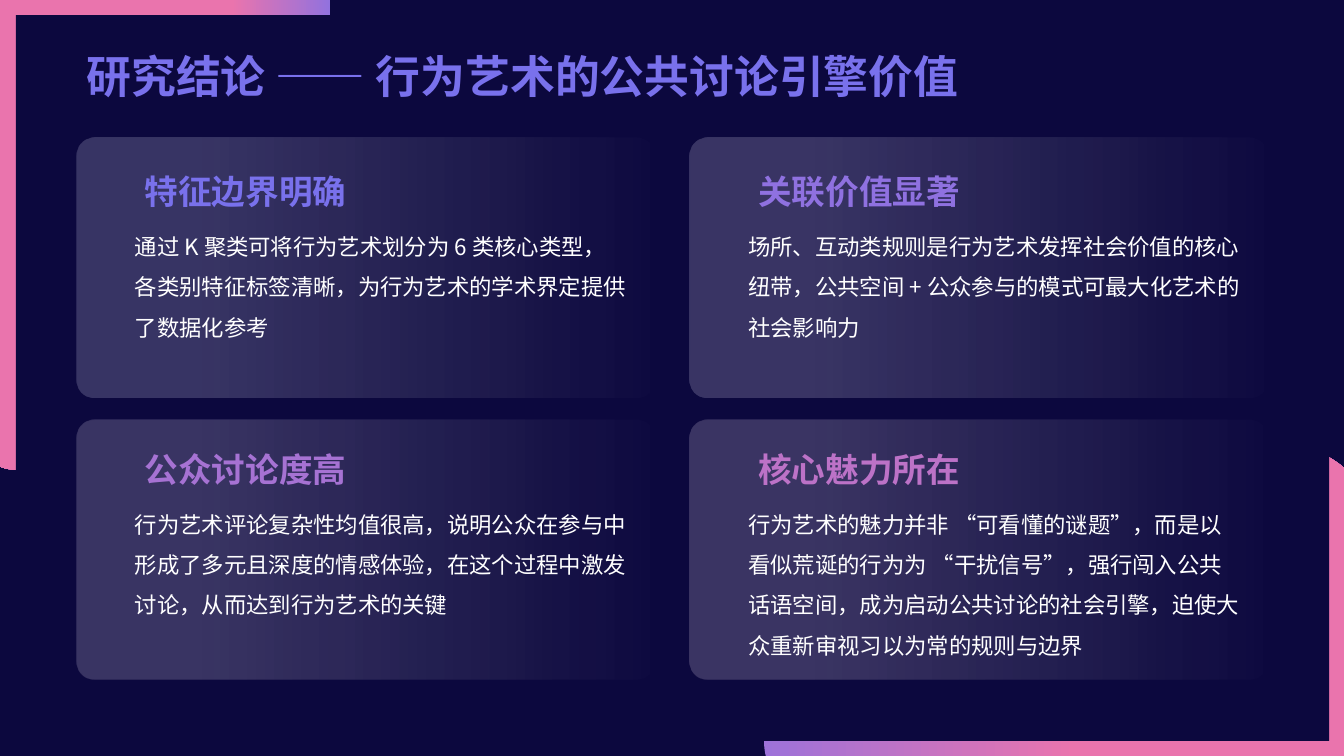
import dataclasses
import typing

import pptx
import pptx.dml.color
import pptx.enum.shapes
import pptx.enum.text
import pptx.oxml
import pptx.oxml.ns
import pptx.util

Cm = pptx.util.Cm
Point = tuple[float, float]
FONT = "Noto Sans CJK SC"
NAVY = "0C083E"
VIOLET = "7971EC"
PINK = "EA74AD"
WHITE = "FFFFFF"
PAGE_WIDTH, PAGE_HEIGHT = 33.87, 19.05
CARD_LEFT, CARD_TOP, CARD_WIDTH, CARD_HEIGHT = 1.93, 3.48, 14.55, 6.55
COLUMN_STEP, CARD_ROW_STEP, TEXT_ROW_STEP = 15.46, 7.09, 7.0
TEXT_LEFT, TEXT_WIDTH = 3.4, 12.42
HEADING_TOP, BODY_TOP = 4.1, 5.54


@dataclasses.dataclass
class Stop:
    position: float
    color: str
    alpha: int = 100


@dataclasses.dataclass
class Card:
    heading: str
    body: str
    accent: str
    tint: str


@dataclasses.dataclass
class Corner:
    start: Point
    segments: list[tuple[Point, ...]]
    stops: tuple[Stop, Stop]
    angle: float


CARDS = [
    Card("特征边界明确",
         "通过 K 聚类可将行为艺术划分为 6 类核心类型，各类别特征标签清晰，为行为艺术的学术界定提供了数据化参考",
         VIOLET, "E4E3FB"),
    Card("关联价值显著",
         "场所、互动类规则是行为艺术发挥社会价值的核心纽带，公共空间 + 公众参与的模式可最大化艺术的社会影响力",
         "8F71E0", "E9E3F9"),
    Card("公众讨论度高",
         "行为艺术评论复杂性均值很高，说明公众在参与中形成了多元且深度的情感体验，在这个过程中激发讨论，从而达到行为艺术的关键",
         "A672D3", "EDE3F6"),
    Card("核心魅力所在",
         "行为艺术的魅力并非 “可看懂的谜题”，而是以看似荒诞的行为为 “干扰信号”，强行闯入公共话语空间，成为启动公共讨论的社会引擎，迫使大众重新审视习以为常的规则与边界",
         "BC72C7", "F2E3F4"),
]

CORNERS = [
    Corner((0, 0), [
        ((8.33, 0),),
        ((8.61, 3), (4.7, 2.01), (3.81, 3.86)),
        ((2.92, 5.79), (7.01, 9.02), (2.82, 11.25)),
        ((1.78, 11.81), (0.91, 11.94), (0.15, 11.81)),
        ((0, 11.76),),
    ], (Stop(0, "9272DE"), Stop(0.3, PINK)), 180),
    Corner((31.42, 10.92), [
        ((32.33, 10.95), (33.1, 11.23), (33.73, 11.68)),
        ((PAGE_WIDTH, 11.79),),
        ((PAGE_WIDTH, PAGE_HEIGHT),),
        ((19.3, PAGE_HEIGHT),),
        ((19.28, 18.97),),
        ((19.2, 18.49), (19.28, 17.91), (19.56, 17.2)),
        ((21.06, 13.34), (24.59, 15.75), (26.57, 14.71)),
        ((28.55, 13.64), (29.59, 10.82), (31.42, 10.92)),
    ], (Stop(0, "9D72D9"), Stop(0.54, PINK)), 0),
]


def rgb(value: str) -> pptx.dml.color.RGBColor:
    return pptx.dml.color.RGBColor.from_string(value)


def fill_gradient(shape: typing.Any, stops: tuple[Stop, Stop], angle: float) -> None:
    shape.shadow.inherit = False
    shape.line.fill.background()
    shape.fill.gradient()
    shape.fill.gradient_angle = angle
    for target, stop in zip(shape.fill.gradient_stops, stops):
        target.position = stop.position
        target.color.rgb = rgb(stop.color)
    colors = shape._element.spPr.iter(pptx.oxml.ns.qn("a:srgbClr"))
    for color, stop in zip(list(colors), stops):
        if stop.alpha < 100:
            alpha = pptx.oxml.parse_xml(
                f'<a:alpha {pptx.oxml.ns.nsdecls("a")} val="{stop.alpha * 1000}"/>')
            color.append(alpha)


def curve_points(start: Point, first: Point, second: Point, end: Point) -> list[Point]:
    points = []
    for step in range(1, 17):
        t = step / 16
        weights = ((1 - t) ** 3, 3 * t * (1 - t) ** 2, 3 * t * t * (1 - t), t ** 3)
        corners = (start, first, second, end)
        points.append((sum(w * p[0] for w, p in zip(weights, corners)),
                       sum(w * p[1] for w, p in zip(weights, corners))))
    return points


def draw_corner(page: typing.Any, corner: Corner) -> None:
    outline = [corner.start]
    for segment in corner.segments:
        if len(segment) == 3:
            outline += curve_points(outline[-1], *segment)
        else:
            outline += segment
    places = [(Cm(x), Cm(y)) for x, y in outline]
    builder = page.shapes.build_freeform(*places[0])
    builder.add_line_segments(places[1:], close=True)
    fill_gradient(builder.convert_to_shape(), corner.stops, corner.angle)


def add_text(page: typing.Any, text: str, left: float, top: float, width: float,
             height: float, *, size: float, color: str, bold: bool = False,
             spacing: float = 1.0, middle: bool = False,
             insets: tuple[float, float, float, float] = (0, 0, 0, 0)) -> None:
    box = page.shapes.add_textbox(Cm(left), Cm(top), Cm(width), Cm(height))
    frame = box.text_frame
    frame.word_wrap = True
    anchors = pptx.enum.text.MSO_ANCHOR
    frame.vertical_anchor = anchors.MIDDLE if middle else anchors.TOP
    (frame.margin_left, frame.margin_top,
     frame.margin_right, frame.margin_bottom) = map(Cm, insets)
    para = frame.paragraphs[0]
    para.line_spacing = spacing
    span = para.add_run()
    span.text = text
    span.font.size = pptx.util.Pt(size)
    span.font.bold = bold
    span.font.color.rgb = rgb(color)
    span.font.name = FONT
    span._r.get_or_add_rPr().append(pptx.oxml.parse_xml(
        f'<a:ea {pptx.oxml.ns.nsdecls("a")} typeface="{FONT}"/>'))


def draw_card(page: typing.Any, card: Card, row: int, column: int) -> None:
    shift = column * COLUMN_STEP
    panel = page.shapes.add_shape(
        pptx.enum.shapes.MSO_SHAPE.ROUNDED_RECTANGLE,
        Cm(CARD_LEFT + shift), Cm(CARD_TOP + row * CARD_ROW_STEP),
        Cm(CARD_WIDTH), Cm(CARD_HEIGHT))
    panel.adjustments[0] = 0.07
    fill_gradient(panel, (Stop(0, "F2F2F2", 0), Stop(0.79, card.tint, 20)), 180)
    drop = row * TEXT_ROW_STEP
    add_text(page, card.body, TEXT_LEFT + shift, BODY_TOP + drop, TEXT_WIDTH, 4.06,
             size=16, color=WHITE, spacing=1.5)
    add_text(page, card.heading, TEXT_LEFT + shift, HEADING_TOP + drop, TEXT_WIDTH, 1.32,
             size=24, color=card.accent, bold=True, middle=True,
             insets=(0.25, 0.13, 0.25, 0))


def main() -> None:
    deck = pptx.Presentation()
    deck.slide_width, deck.slide_height = Cm(PAGE_WIDTH), Cm(PAGE_HEIGHT)
    page = deck.slides.add_slide(deck.slide_layouts[6])
    page.background.fill.solid()
    page.background.fill.fore_color.rgb = rgb(NAVY)
    for corner in CORNERS:
        draw_corner(page, corner)
    center = page.shapes.add_shape(pptx.enum.shapes.MSO_SHAPE.RECTANGLE,
                                   Cm(0.4), Cm(0.38), Cm(33.1), Cm(18.29))
    center.shadow.inherit = False
    center.fill.solid()
    center.fill.fore_color.rgb = rgb(NAVY)
    center.line.fill.background()
    add_text(page, "研究结论 —— 行为艺术的公共讨论引擎价值", CARD_LEFT, 0.99, 30, 2.01,
             size=32, color=VIOLET, bold=True, spacing=0.9, middle=True,
             insets=(0.25, 0.13, 0.25, 0.13))
    for index, card in enumerate(CARDS):
        row, column = divmod(index, 2)
        draw_card(page, card, row, column)
    deck.save("out.pptx")


if __name__ == "__main__":
    main()
